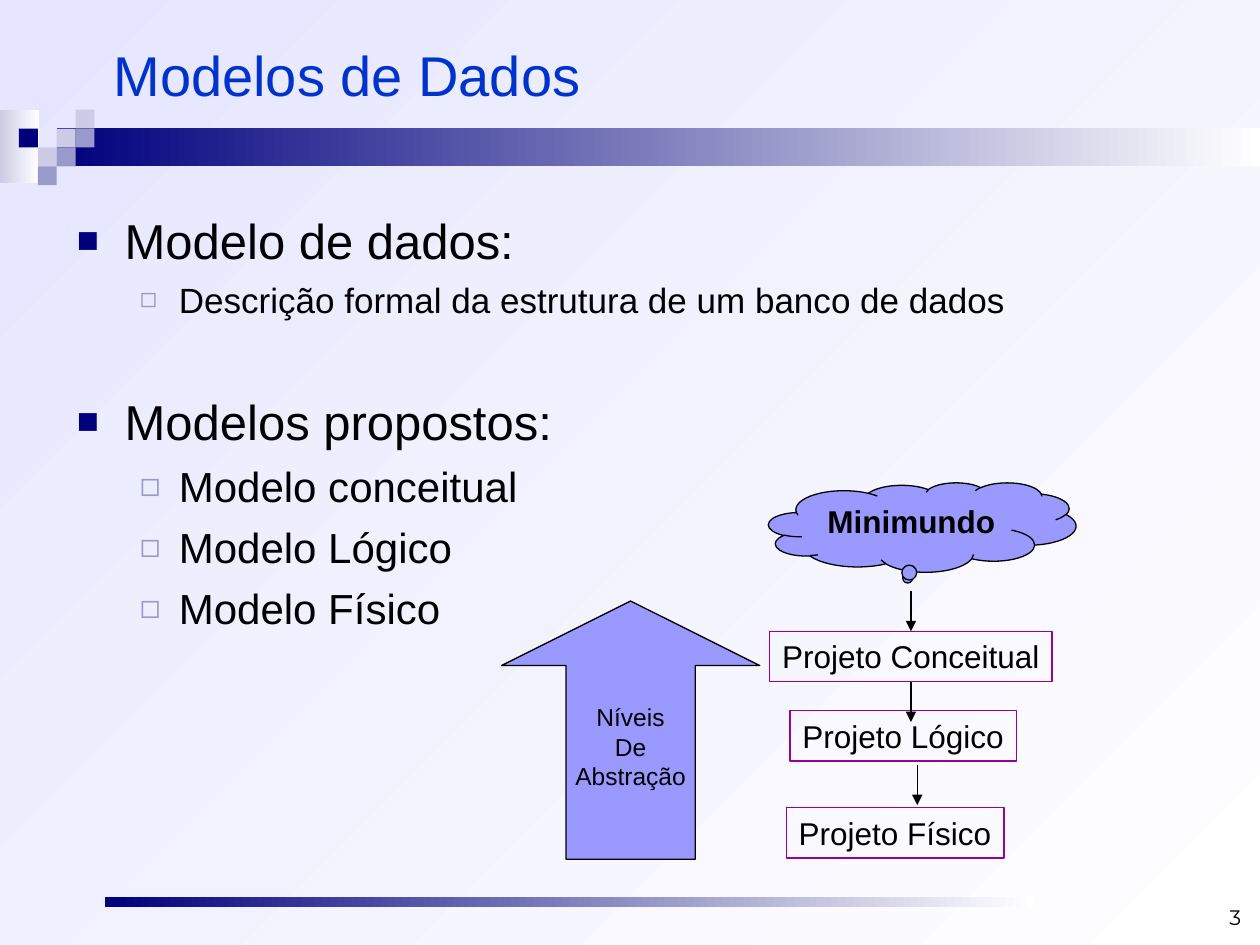
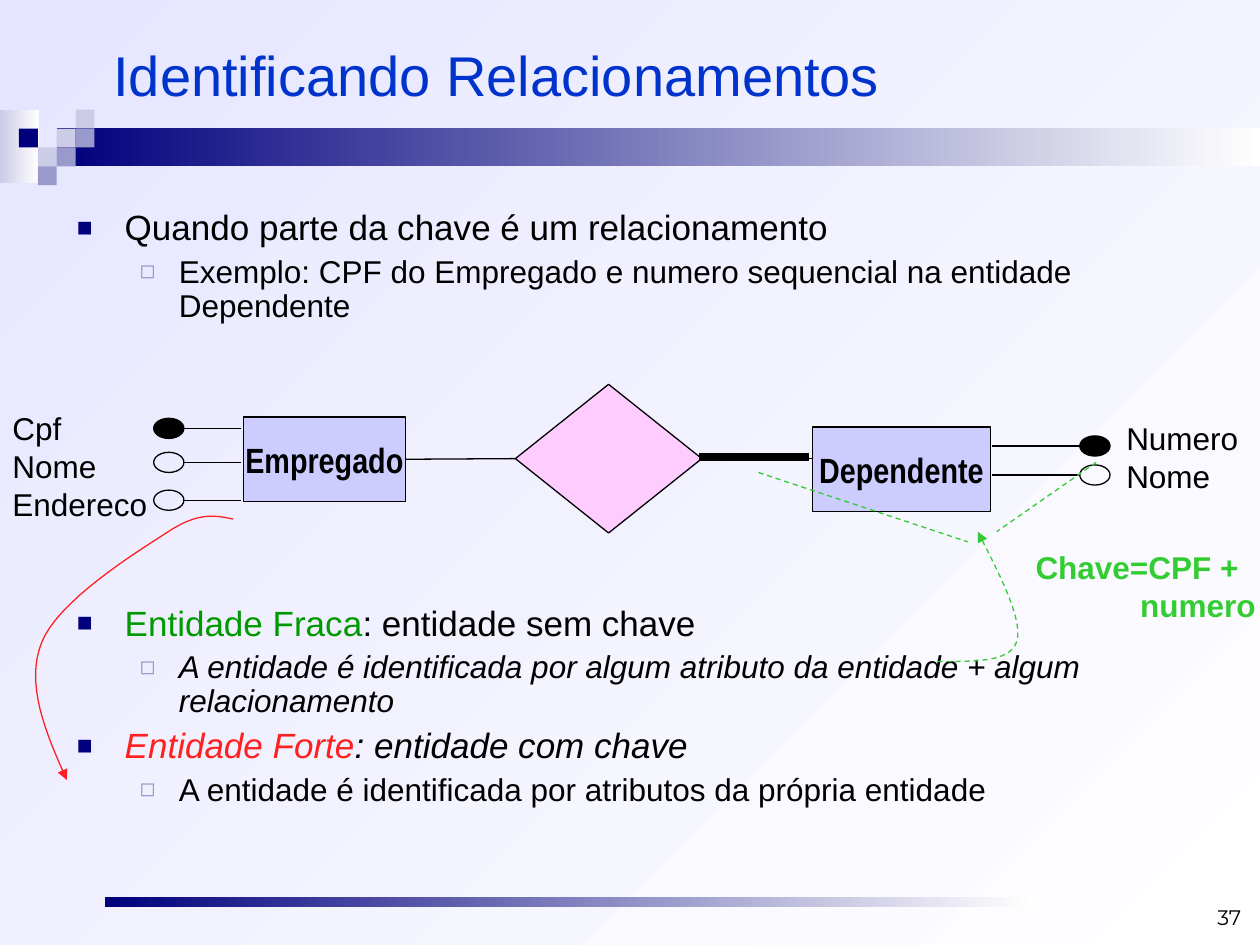
from dataclasses import dataclass

import pptx
import pptx.dml.color
import pptx.enum.dml
import pptx.enum.shapes
import pptx.enum.text
import pptx.oxml.ns
import pptx.util
from lxml import etree

Inches, Pt = pptx.util.Inches, pptx.util.Pt
RGBColor = pptx.dml.color.RGBColor
SHAPE = pptx.enum.shapes.MSO_SHAPE
ALIGN = pptx.enum.text.PP_ALIGN
ANCHOR = pptx.enum.text.MSO_ANCHOR
qn = pptx.oxml.ns.qn

BLACK = RGBColor(0x00, 0x00, 0x00)
WHITE = RGBColor(0xFF, 0xFF, 0xFF)
NAVY = RGBColor(0x00, 0x00, 0x7D)
TITLE_BLUE = RGBColor(0x00, 0x33, 0xCC)
PALE_LILAC = RGBColor(0xE5, 0xE5, 0xFF)
LIGHT_SQUARE = RGBColor(0xCC, 0xCC, 0xE6)
MID_SQUARE = RGBColor(0x99, 0x99, 0xCC)
LEVEL_BLUE = RGBColor(0x99, 0x99, 0xFF)
ENTITY_BLUE = RGBColor(0xCC, 0xCC, 0xFF)
RELATION_PINK = RGBColor(0xFF, 0xCC, 0xFF)
PURPLE = RGBColor(0x99, 0x00, 0x99)
WEAK_GREEN = RGBColor(0x00, 0x99, 0x00)
KEY_GREEN = RGBColor(0x33, 0xCC, 0x33)
STRONG_RED = RGBColor(0xFF, 0x21, 0x21)


@dataclass
class Box:
    """A region in inches; inner boxes and points are relative to it."""
    left: float
    top: float
    width: float
    height: float

    def inner(self, dx, dy, width, height):
        return Box(self.left + dx, self.top + dy, width, height)

    def point(self, dx, dy):
        return Inches(self.left + dx), Inches(self.top + dy)

    def emu(self):
        return [Inches(v) for v in (self.left, self.top, self.width, self.height)]


TITLE_BOX = Box(0.8, 0.13, 9, 0.91)
BODY_BOX = Box(0.51, 1.62, 9, 5.04)
NUMBER_BOX = Box(7.62, 6.93, 2.33, 0.5)

# Bullet by level: left margin, hanging indent, character, colour, size in %
BULLETS = [(0.38, -0.38, "■", NAVY, 75), (0.81, -0.31, "◻", MID_SQUARE, 80)]


# Text and line helpers
def add_run(paragraph, text, *, size=18, color=BLACK, font="Arial", bold=False, italic=False):
    run = paragraph.add_run()
    run.text = text
    run.font.size, run.font.name = Pt(size), font
    run.font.bold, run.font.italic = bold, italic
    run.font.color.rgb = color


def write(frame, text, *, align=ALIGN.LEFT, anchor=ANCHOR.TOP, wrap=True, **fmt):
    frame.word_wrap, frame.vertical_anchor = wrap, anchor
    if wrap and align == ALIGN.LEFT:
        frame.margin_right = 0
    for i, line in enumerate(text.split("\n")):
        paragraph = frame.add_paragraph() if i else frame.paragraphs[0]
        paragraph.alignment = align
        add_run(paragraph, line, **fmt)


def set_bullet(paragraph, level):
    margin, indent, char, color, percent = BULLETS[level]
    paragraph.level = level
    props = paragraph._p.get_or_add_pPr()
    props.set("marL", str(Inches(margin)))
    props.set("indent", str(Inches(indent)))
    tint = etree.SubElement(props, qn("a:buClr"))
    etree.SubElement(tint, qn("a:srgbClr"), val=str(color))
    etree.SubElement(props, qn("a:buSzPct"), val=str(percent * 1000))
    etree.SubElement(props, qn("a:buFont"), typeface="Arial")
    etree.SubElement(props, qn("a:buChar"), char=char)


def style_line(drawn, color=BLACK, width=0.75, dashed=False, arrow=False):
    drawn.line.color.rgb = color
    drawn.line.width = Pt(width)
    if dashed:
        drawn.line.dash_style = pptx.enum.dml.MSO_LINE.DASH
    if arrow:
        outline = drawn.element.spPr.find(qn("a:ln"))
        etree.SubElement(outline, qn("a:tailEnd"), type="triangle")


def paint_gradient(fill, start, end, angle=0):
    fill.gradient()
    fill.gradient_angle = angle
    for stop, color in zip(fill.gradient_stops, (start, end)):
        stop.color.rgb = color


def add_figure(slide, kind, box, fill=None, outline=BLACK):
    figure = slide.shapes.add_shape(kind, *box.emu())
    figure.shadow.inherit = False
    if fill is None:
        figure.fill.background()
    else:
        figure.fill.solid()
        figure.fill.fore_color.rgb = fill
    if outline is None:
        figure.line.fill.background()
    else:
        style_line(figure, outline)
    return figure


def add_link(slide, start, end, begin=None, finish=None, **line):
    link = slide.shapes.add_connector(
        pptx.enum.shapes.MSO_CONNECTOR.STRAIGHT, *start, *end)
    if begin:
        link.begin_connect(*begin)
    if finish:
        link.end_connect(*finish)
    style_line(link, **line)
    etree.SubElement(link.element.spPr, qn("a:effectLst"))
    return link


def add_curve(slide, box, knots, steps=16, **line):
    """Draws chained cubic curves: a start, then three points for each curve."""
    points = []
    for k in range(0, len(knots) - 1, 3):
        for step in range(1, steps + 1):
            t = step / steps
            weights = ((1 - t) ** 3, 3 * t * (1 - t) ** 2, 3 * t * t * (1 - t), t ** 3)
            points.append(box.point(*(
                sum(w * knot[axis] for w, knot in zip(weights, knots[k:k + 4]))
                for axis in (0, 1))))
    builder = slide.shapes.build_freeform(*box.point(*knots[0]))
    builder.add_line_segments(points, close=False)
    curve = builder.convert_to_shape()
    curve.shadow.inherit = False
    curve.fill.background()
    style_line(curve, **line)


# Parts shared by the slides
def draw_decoration(slide, box):
    for dx, dy, width, height, color in (
            (0, 0.87, 0.31, 0.58, LIGHT_SQUARE),
            (0.45, 1.02, 9.55, 0.3, NAVY),
            (0.83, 7.12, 7.38, 0.08, NAVY)):
        band = add_figure(slide, SHAPE.RECTANGLE, box.inner(dx, dy, width, height), outline=None)
        paint_gradient(band.fill, color, WHITE)
    side = 0.15
    for column, row, color in (
            (1, 1, LIGHT_SQUARE), (2, 0, LIGHT_SQUARE), (2, 1, MID_SQUARE),
            (0, 2, LIGHT_SQUARE), (-1, 1, NAVY), (1, 2, MID_SQUARE), (0, 3, MID_SQUARE)):
        square = box.inner(0.3 + column * side, 0.87 + row * side, side, side)
        add_figure(slide, SHAPE.RECTANGLE, square, color, None)


def place(placeholder, box):
    placeholder.left, placeholder.top, placeholder.width, placeholder.height = box.emu()
    placeholder.text_frame.auto_size = pptx.enum.text.MSO_AUTO_SIZE.NONE
    return placeholder.text_frame


def start_slide(prs, title, number):
    slide = prs.slides.add_slide(prs.slide_layouts[1])
    draw_decoration(slide, Box(0, 0, 10, 7.5))
    write(place(slide.shapes.title, TITLE_BOX), title, anchor=ANCHOR.MIDDLE,
          size=32, color=TITLE_BLUE)
    number_box = slide.shapes.add_textbox(*NUMBER_BOX.emu())
    write(number_box.text_frame, number, align=ALIGN.RIGHT, anchor=ANCHOR.BOTTOM,
          size=12, font="Montserrat")
    return slide


def fill_body(slide, items, spacing=1.0):
    """Each item: level, size, space before, then (text, format) runs."""
    frame = place(slide.placeholders[1], BODY_BOX)
    frame.word_wrap = True
    for i, (level, size, before, *runs) in enumerate(items):
        paragraph = frame.add_paragraph() if i else frame.paragraphs[0]
        set_bullet(paragraph, level)
        paragraph.line_spacing = spacing
        paragraph.space_before = Pt(before)
        for text, fmt in runs:
            add_run(paragraph, text, size=size, **fmt)


# Slide: data models
def draw_abstraction_levels(slide, box):
    levels = add_figure(slide, SHAPE.UP_ARROW, box.inner(0, 0.94, 2.05, 2.05), LEVEL_BLUE)
    levels.adjustments[0], levels.adjustments[1] = 0.5, 0.25
    write(levels.text_frame, "Níveis\nDe\nAbstração", align=ALIGN.CENTER,
          anchor=ANCHOR.MIDDLE, wrap=False, size=14)

    miniworld = add_figure(slide, SHAPE.CLOUD_CALLOUT, box.inner(2.12, 0, 2.44, 0.71), LEVEL_BLUE)
    miniworld.adjustments[0], miniworld.adjustments[1] = -0.048, 0.576
    write(miniworld.text_frame, "Minimundo", align=ALIGN.CENTER, bold=True)

    projects = []
    for name, dx, dy, width in (("Projeto Conceitual", 2.13, 1.18, 2.24),
                                ("Projeto Lógico", 2.29, 1.81, 1.8),
                                ("Projeto Físico", 2.26, 2.58, 1.73)):
        project = add_figure(slide, SHAPE.RECTANGLE, box.inner(dx, dy, width, 0.4), outline=PURPLE)
        write(project.text_frame, name)
        projects.append(project)

    conceptual = projects[0]
    for x, y, begin, finish in ((3.25, 0.86, None, (conceptual, 0)),
                                (3.25, 1.58, (conceptual, 2), None),
                                (3.3, 2.24, None, None)):
        add_link(slide, box.point(x, y), box.point(x, y + 0.32), begin, finish, arrow=True)


def build_data_models(prs):
    slide = start_slide(prs, "Modelos de Dados", "3")
    fill_body(slide, [
        (0, 28, 0, ("Modelo de dados:", {})),
        (1, 20, 5, ("Descrição formal da estrutura de um banco de dados", {})),
        (0, 28, 40.6, ("Modelos propostos:", {})),
        *((1, 24, 6, (f"Modelo {kind}", {})) for kind in ("conceitual", "Lógico", "Físico")),
    ])
    draw_abstraction_levels(slide, Box(3.98, 3.83, 4.56, 2.99))


# Slide: identifying relationships
def draw_entity(slide, box, name):
    entity = add_figure(slide, SHAPE.RECTANGLE, box, ENTITY_BLUE)
    write(entity.text_frame, name, align=ALIGN.CENTER, anchor=ANCHOR.MIDDLE, wrap=False,
          size=20, font="Arial Narrow", bold=True)
    return entity


def draw_attributes(slide, box, names, names_box, oval_x, rows, line_x):
    """The first attribute is the key, so its oval is filled."""
    for i, y in enumerate(rows):
        add_figure(slide, SHAPE.OVAL, box.inner(oval_x, y - 0.08, 0.24, 0.16),
                   None if i else BLACK)
        add_link(slide, box.point(line_x[0], y), box.point(line_x[1], y))
    label = slide.shapes.add_textbox(*names_box.emu())
    write(label.text_frame, names)


def draw_relationship(slide, box):
    employee = draw_entity(slide, box.inner(1.93, 0.31, 1.29, 0.67), "Empregado")
    draw_entity(slide, box.inner(6.45, 0.39, 1.41, 0.67), "Dependente")
    relation = add_figure(slide, SHAPE.FLOWCHART_DECISION,
                          box.inner(4.09, 0.05, 1.48, 1.18), RELATION_PINK)
    add_link(slide, box.point(3.22, 0.64), box.point(4.09, 0.64), (employee, 3), (relation, 1))
    add_link(slide, box.point(5.57, 0.64), box.point(6.45, 0.64), (relation, 3))
    add_link(slide, box.point(5.55, 0.63), box.point(6.42, 0.63), width=4.5)
    draw_attributes(slide, box, "Cpf\nNome\nEndereco", box.inner(0, 0.2, 1.27, 1.3),
                    1.22, (0.4, 0.67, 0.97), (1.45, 1.91))
    draw_attributes(slide, box, "Numero\nNome", box.inner(8.84, 0.28, 1.09, 0.7),
                    8.57, (0.54, 0.77), (7.87, 8.57))


def draw_key_notes(slide, box):
    key = slide.shapes.add_textbox(*box.inner(8.12, 1.3, 1.95, 0.7).emu())
    write(key.text_frame, "Chave=CPF +\nnumero", color=KEY_GREEN, bold=True)
    key.text_frame.paragraphs[1]._p.get_or_add_pPr().set("marL", str(Inches(0.83)))

    add_curve(slide, box, [(1.85, 1.12), (1.71, 1.09), (1.57, 1.06), (1.32, 1.23),
                           (1.07, 1.39), (0.46, 1.77), (0.33, 2.1),
                           (0.2, 2.43), (0.36, 2.81), (0.53, 3.19)],
              color=STRONG_RED, arrow=True)
    green_dash = {"color": KEY_GREEN, "dashed": True}
    add_link(slide, box.point(6.02, 0.75), box.point(7.68, 1.3), **green_dash)
    add_curve(slide, box, [(7.44, 2.25), (7.73, 2.25), (8.02, 2.26), (8.07, 2.09),
                           (8.12, 1.92), (7.94, 1.57), (7.76, 1.22)],
              arrow=True, **green_dash)
    add_link(slide, box.point(8.7, 0.67), box.point(7.91, 1.22), **green_dash)


def build_relationships(prs):
    slide = start_slide(prs, "Identificando Relacionamentos", "37")
    italic = {"italic": True}
    fill_body(slide, [
        (0, 20, 0, ("Quando parte da chave é um relacionamento", {})),
        (1, 18, 4.5, ("Exemplo: CPF do Empregado e numero sequencial na entidade Dependente", {})),
        (0, 20, 161, ("Entidade Fraca", {"color": WEAK_GREEN}), (": entidade sem chave", {})),
        (1, 18, 4.5, ("A entidade é identificada por algum atributo da entidade"
                      " + algum relacionamento", italic)),
        (0, 20, 5, ("Entidade Forte", {"color": STRONG_RED, **italic}),
         (": entidade com chave", italic)),
        (1, 18, 4.5, ("A entidade é identificada por atributos da própria entidade", {})),
    ], spacing=0.9)
    region = Box(0, 3, 10, 3.2)
    draw_relationship(slide, region)
    draw_key_notes(slide, region)


def main():
    prs = pptx.Presentation()
    prs.slide_width, prs.slide_height = Inches(10), Inches(7.5)
    paint_gradient(prs.slide_master.background.fill, PALE_LILAC, WHITE, 315)
    build_data_models(prs)
    build_relationships(prs)
    prs.save("out.pptx")


if __name__ == "__main__":
    main()
